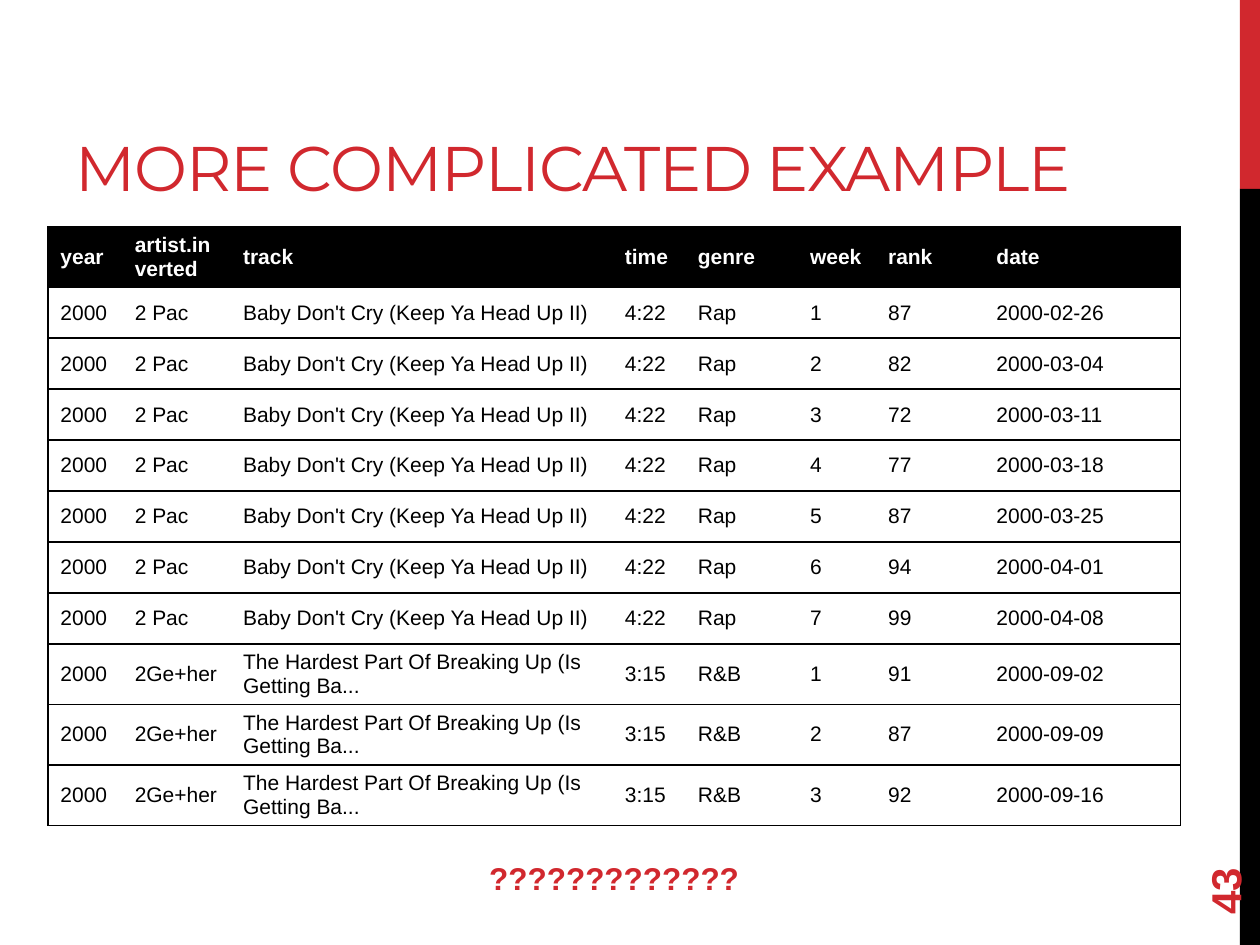
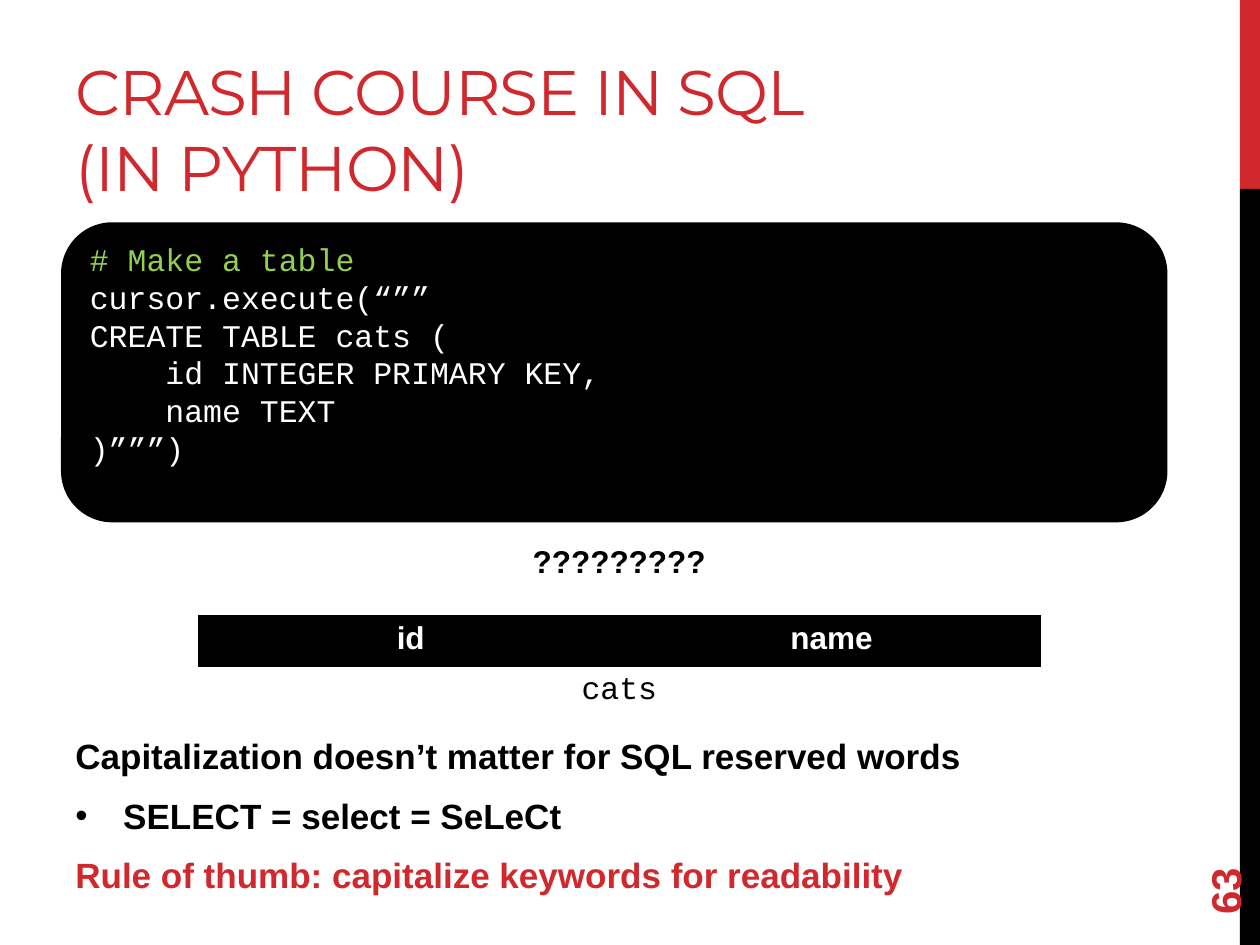
from lxml import etree
from pptx import Presentation
from pptx.dml.color import RGBColor
from pptx.enum.shapes import MSO_SHAPE
from pptx.enum.text import MSO_ANCHOR, PP_ALIGN
from pptx.oxml.ns import qn
from pptx.util import Inches, Pt

TOP, MIDDLE, BOTTOM = MSO_ANCHOR.TOP, MSO_ANCHOR.MIDDLE, MSO_ANCHOR.BOTTOM
LEFT, CENTER = PP_ALIGN.LEFT, PP_ALIGN.CENTER
RECTANGLE, ROUNDED = MSO_SHAPE.RECTANGLE, MSO_SHAPE.ROUNDED_RECTANGLE

RED, BLACK, WHITE, GREEN = "D1282E", "000000", "FFFFFF", "92D050"
BODY_FONT, CODE_FONT, TITLE_FONT = "Arial", "Courier New", "Montserrat"


def color(hex_value):
    return RGBColor.from_string(hex_value)


def write(frame, text, size=18, font=BODY_FONT, ink=BLACK, bold=False, align=LEFT,
          before=0, after=0, spacing=None, bullet=None):
    """Fill the empty first paragraph of a frame, or add another one."""
    first = frame.paragraphs[0]
    paragraph = frame.add_paragraph() if first.runs else first
    if bullet:
        properties = paragraph._p.get_or_add_pPr()
        properties.set("marL", str(Inches(0.38)))
        properties.set("indent", str(-Inches(0.38)))
        etree.SubElement(properties, qn("a:buFont")).set("typeface", BODY_FONT)
        etree.SubElement(properties, qn("a:buChar")).set("char", bullet)
    paragraph.alignment = align
    paragraph.space_before, paragraph.space_after = Pt(before), Pt(after)
    run = paragraph.add_run()
    run.text = text
    run.font.size, run.font.name, run.font.bold = Pt(size), font, bold
    run.font.color.rgb = color(ink)
    if spacing:
        run._r.get_or_add_rPr().set("spc", str(spacing))


prs = Presentation()
prs.slide_width, prs.slide_height = Inches(10), Inches(7.5)
charts_slide, sql_slide = [prs.slides.add_slide(prs.slide_layouts[6]) for _ in range(2)]

# Side bands, title and page number on both slides
for slide, title, title_width, page in (
    (charts_slide, "MORE COMPLICATED EXAMPLE", 8.75, "43"),
    (sql_slide, "CRASH COURSE IN SQL (IN PYTHON)", 6.33, "63"),
):
    for top, height, fill in ((0, 1.5, RED), (1.5, 6, BLACK)):
        band = slide.shapes.add_shape(RECTANGLE, Inches(9.84), Inches(top),
                                      Inches(0.16), Inches(height))
        band.shadow.inherit = False
        band.fill.solid()
        band.fill.fore_color.rgb = color(fill)
        band.line.fill.background()

    heading = slide.shapes.add_textbox(Inches(0.5), Inches(0.17),
                                       Inches(title_width), Inches(1.5)).text_frame
    heading.word_wrap = True
    heading.vertical_anchor = BOTTOM
    write(heading, title, size=36, font=TITLE_FONT, ink=RED, spacing=-60)

    page_box = slide.shapes.add_textbox(Inches(9), Inches(6.44), Inches(1.44), Inches(0.4))
    page_box.rotation = 270
    page_box.text_frame.word_wrap = True
    page_box.text_frame.vertical_anchor = MIDDLE
    write(page_box.text_frame, page, size=24, ink=RED, bold=True)

# Weekly chart positions: one row per track and week
hits = [
    ("2 Pac", "Baby Don't Cry (Keep Ya Head Up II)", "4:22", "Rap",
     [("87", "02-26"), ("82", "03-04"), ("72", "03-11"), ("77", "03-18"),
      ("87", "03-25"), ("94", "04-01"), ("99", "04-08")]),
    ("2Ge+her", "The Hardest Part Of Breaking Up (Is Getting Ba...", "3:15", "R&B",
     [("91", "09-02"), ("87", "09-09"), ("92", "09-16")]),
]
chart_rows = [("year", "artist.inverted", "track", "time", "genre", "week", "rank", "date")]
for artist, track, time, genre, weeks in hits:
    for week, (rank, day) in enumerate(weeks, 1):
        chart_rows.append(("2000", artist, track, time, genre, str(week), rank, f"2000-{day}"))

# Tables: black header, rules between rows, outline at the sides
for slide, left, top, height, widths, rows, size, align, anchor in (
    (charts_slide, 0.38, 1.8, 4.45, (0.59, 0.86, 3.03, 0.58, 0.89, 0.62, 0.86, 1.56),
     chart_rows, 12, LEFT, MIDDLE),
    (sql_slide, 1.58, 4.89, 0.4, (3.34, 3.34), [("id", "name")], 18, CENTER, TOP),
):
    table = slide.shapes.add_table(len(rows), len(widths), Inches(left), Inches(top),
                                   Inches(sum(widths)), Inches(height)).table
    for column, width in zip(table.columns, widths):
        column.width = Inches(width)
    for r, row in enumerate(rows):
        table.rows[r].height = Inches(height / len(rows))
        for c, value in enumerate(row):
            cell = table.cell(r, c)
            cell.vertical_anchor = anchor
            cell.margin_top = cell.margin_bottom = Inches(0.04)
            cell.margin_right = Inches(0.08)
            cell_properties = cell._tc.get_or_add_tcPr()
            ruled = {"a:lnL": c == 0, "a:lnR": c == len(row) - 1, "a:lnT": True, "a:lnB": True}
            for side, visible in ruled.items():
                edge = etree.SubElement(cell_properties, qn(side))
                edge.set("w", str(Pt(1 if visible else 0)))
                if visible:
                    paint = etree.SubElement(edge, qn("a:solidFill"))
                    etree.SubElement(paint, qn("a:srgbClr")).set("val", BLACK)
                else:
                    etree.SubElement(edge, qn("a:noFill"))
            header = r == 0
            if header:
                cell.fill.solid()
                cell.fill.fore_color.rgb = color(BLACK)
            else:
                cell.fill.background()
            write(cell.text_frame, value, size=size, align=align, bold=header,
                  ink=WHITE if header else BLACK)

# Code that creates the table
code_panel = sql_slide.shapes.add_shape(ROUNDED, Inches(0.5), Inches(1.78),
                                        Inches(8.75), Inches(2.35))
code_panel.shadow.inherit = False
code_panel.fill.solid()
code_panel.fill.fore_color.rgb = color(BLACK)
code_panel.line.color.rgb = color(BLACK)
code_panel.line.width = Pt(2.25)
code = code_panel.text_frame
code.word_wrap = True
code.vertical_anchor = TOP
code.margin_top = Inches(0.01)
write(code, "# Make a table", font=CODE_FONT, ink=GREEN)
for code_line in (
    "cursor.execute(“””",
    "CREATE TABLE cats (",
    "    id INTEGER PRIMARY KEY,",
    "    name TEXT",
    ")”””)",
):
    write(code, code_line, font=CODE_FONT, ink=WHITE)

# Centred questions and the table's caption
for slide, left, top, width, text, style in (
    (charts_slide, 3.08, 6.77, 3.59, "?" * 13, {"ink": RED, "bold": True}),
    (sql_slide, 3, 4.25, 3.83, "?" * 9, {"bold": True}),
    (sql_slide, 3.87, 5.25, 2.09, "cats", {"font": CODE_FONT}),
):
    caption = slide.shapes.add_textbox(Inches(left), Inches(top),
                                       Inches(width), Inches(0.4)).text_frame
    caption.word_wrap = True
    write(caption, text, align=CENTER, **style)

# Notes on capitalization
advice = sql_slide.shapes.add_textbox(Inches(0.5), Inches(5.78),
                                      Inches(8.33), Inches(1.58)).text_frame
advice.word_wrap = True
write(advice, "Capitalization doesn’t matter for SQL reserved words", size=20, bold=True, after=6)
write(advice, "SELECT = select = SeLeCt", size=20, bold=True, before=4, after=6, bullet="•")
write(advice, "Rule of thumb: capitalize keywords for readability", size=20, bold=True,
      ink=RED, before=4, after=6)

prs.save("out.pptx")
